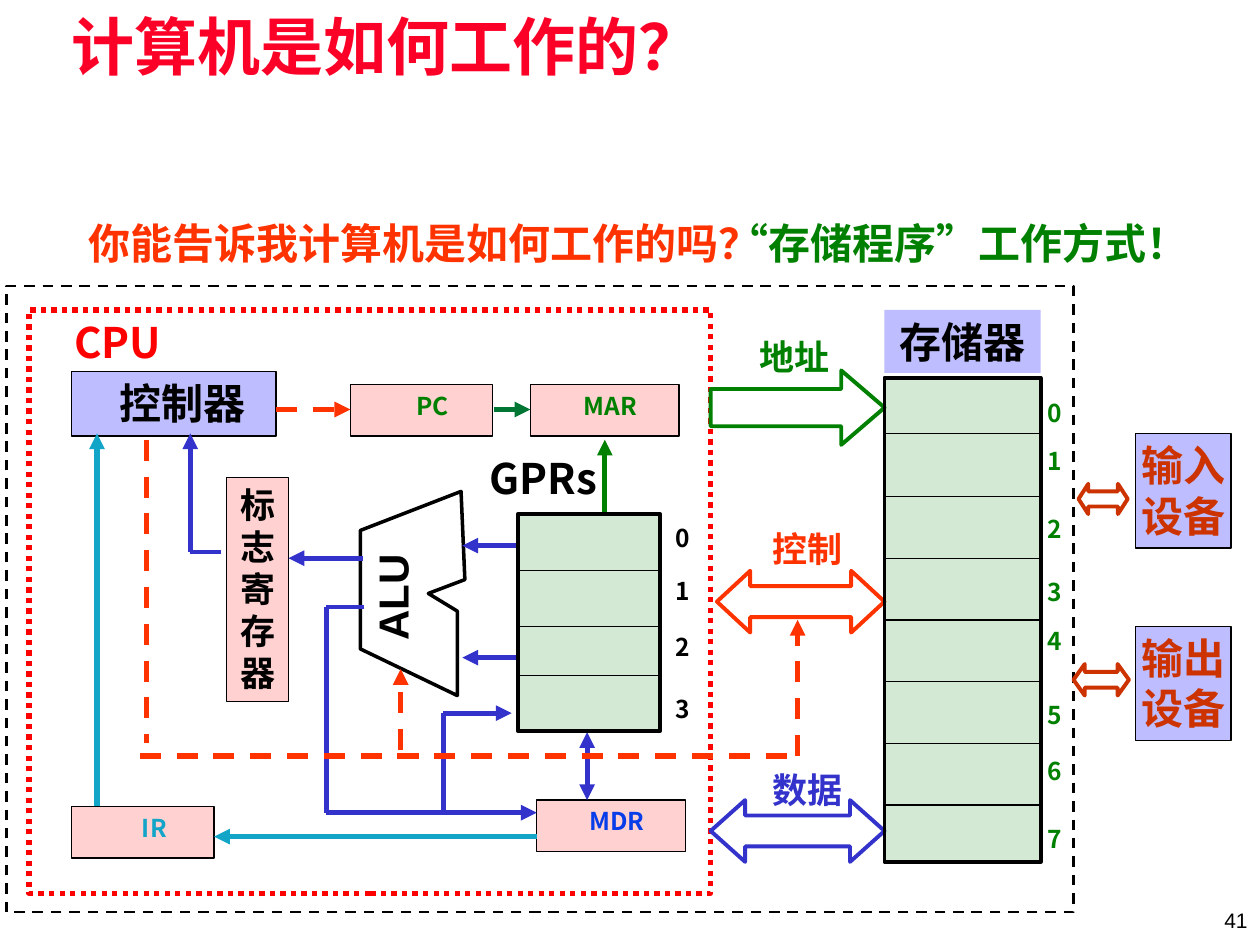
from pptx import Presentation
from pptx.dml.color import RGBColor
from pptx.enum.dml import MSO_LINE
from pptx.enum.shapes import MSO_CONNECTOR, MSO_SHAPE
from pptx.enum.text import MSO_ANCHOR, PP_ALIGN
from pptx.oxml.ns import qn
from pptx.util import Inches, Pt
from lxml.etree import SubElement

CJK = "Noto Sans CJK SC"
BLUE, RED, GREEN, BLACK = "3333CC", "FF3300", "008000", "000000"
CYAN, BROWN = "12A5C8", "CC3300"
PALE_BLUE, PALE_RED, PALE_GREEN = ("0000FF", 26), ("FF0000", 18), (GREEN, 17)
paint = RGBColor.from_string

deck = Presentation()
deck.slide_width, deck.slide_height = Inches(10), Inches(7.5)
page = deck.slides.add_slide(deck.slide_layouts[6])


def add_box(place, text="", size=24, color=BLACK, fill=None, opacity=100, line=None,
            width=0.75, dash=None, kind=MSO_SHAPE.RECTANGLE, head=None,
            font=CJK, bold=True, align=PP_ALIGN.CENTER, spacing=None, inset=(0.1, 0.1)):
    frame = [Inches(length) for length in place]
    if fill or line:
        box = page.shapes.add_shape(kind, *frame)
        box.shadow.inherit = False
        if head:
            box.adjustments[0], box.adjustments[1] = 0.5, head
        if fill:
            box.fill.solid()
            box.fill.fore_color.rgb = paint(fill)
            if opacity < 100:
                tint = box.fill._xPr.find(qn("a:solidFill"))[0]
                SubElement(tint, qn("a:alpha"), val=str(opacity * 1000))
        else:
            box.fill.background()
        if line:
            box.line.color.rgb = paint(line)
            box.line.width = Pt(width)
            box.line.dash_style = dash
        else:
            box.line.fill.background()
    else:
        box = page.shapes.add_textbox(*frame)
    if text:
        body = box.text_frame
        body.text = text
        body.word_wrap = True
        body.vertical_anchor = MSO_ANCHOR.TOP
        body.margin_left, body.margin_right = [Inches(side) for side in inset]
        for para in body.paragraphs:
            para.alignment = align
            para.line_spacing = spacing or Pt(size * 1.2)
            for span in para.runs:
                span.font.size = Pt(size)
                span.font.bold = bold
                span.font.color.rgb = paint(color)
                span.font.name = font
                SubElement(span.font._element, qn("a:ea"), typeface=CJK)
    return box


def add_line(x1, y1, x2, y2, color=BLUE, width=3, ends="", dash=None):
    line = page.shapes.add_connector(
        MSO_CONNECTOR.STRAIGHT, Inches(x1), Inches(y1), Inches(x2), Inches(y2))
    line.line.color.rgb = paint(color)
    line.line.width = Pt(width)
    line.line.dash_style = dash
    outline = line.line._get_or_add_ln()
    for end in ends.split():
        SubElement(outline, qn(f"a:{end}End"), type="triangle")
    SubElement(line._element.spPr, qn("a:effectLst"))


title = add_box((0.5, 0.11, 9, 0.61), "计算机是如何工作的？", 36, "FC0128", font="Arial",
                align=PP_ALIGN.LEFT, spacing=0.87, inset=(0.07, 0.07))
title.text_frame.margin_top = title.text_frame.margin_bottom = Inches(0.03)
add_box((0.27, 1.68, 6.2, 0.5), "你能告诉我计算机是如何工作的吗？", color=RED)
add_box((5.59, 1.68, 4.02, 0.5), "“存储程序”工作方式！", color=GREEN)

add_box((0.05, 2.27, 8.47, 4.97), line=BLACK, width=1.5, dash=MSO_LINE.DASH)
add_box((0.23, 2.46, 5.41, 4.63), line="FF0000", width=3, dash=MSO_LINE.ROUND_DOT)
add_box((0.47, 2.46, 0.93, 0.5), "CPU", color="FF0000")

add_box((0.57, 2.95, 1.62, 0.51), "控制器", fill=PALE_BLUE[0], opacity=PALE_BLUE[1],
        line=BLACK, inset=(0.24, 0.1))
registers = [
    ("PC", 2.78, 3.05, 1.13, GREEN, 0.28),
    ("MAR", 4.21, 3.05, 1.18, GREEN, 0.19),
    ("MDR", 4.26, 6.35, 1.18, "063DE8", 0.19),
    ("IR", 0.57, 6.4, 1.13, CYAN, 0.28),
]
for name, left, top, width, color, margin in registers:
    add_box((left, top, width, 0.41), name, 14, color, *PALE_RED, line=BLACK,
            inset=(margin, 0.1))
add_box((1.8, 3.79, 0.49, 1.78), "标\n志\n寄\n存\n器", 20, BLACK, *PALE_RED, line=BLACK)

for name, top in [("输入\n设备", 3.44), ("输出\n设备", 4.97)]:
    add_box((9.01, top, 0.76, 0.91), name, 24, BROWN, *PALE_BLUE, line=BLACK, inset=(0, 0))

two_way, one_way = MSO_SHAPE.LEFT_RIGHT_ARROW, MSO_SHAPE.RIGHT_ARROW
block_arrows = [
    ((8.56, 3.84, 0.39, 0.24), two_way, 0.322, BROWN),
    ((8.52, 5.27, 0.44, 0.25), two_way, 0.359, BROWN),
    ((5.64, 2.94, 1.38, 0.59), one_way, 0.582, GREEN),
    ((5.69, 4.53, 1.33, 0.49), two_way, 0.539, RED),
    ((5.64, 6.35, 1.38, 0.49), two_way, 0.559, BLUE),
]
for place, kind, head, color in block_arrows:
    add_box(place, fill="FFFFFF", line=color, width=2.25, kind=kind, head=head)
add_box((5.84, 2.61, 0.94, 0.43), "地址", 20, GREEN)
add_box((5.94, 4.14, 0.94, 0.43), "控制", 20, RED)
add_box((5.99, 6.05, 0.84, 0.43), "数据", 20, BLUE)

corners = [(2.86, 4.21), (3.66, 3.9), (3.69, 4.6), (3.4, 4.71),
           (3.63, 4.85), (3.63, 5.52), (2.86, 5.15)]
points = [(Inches(x), Inches(y)) for x, y in corners]
builder = page.shapes.build_freeform(*points[0])
builder.add_line_segments(points[1:], close=True)
alu = builder.convert_to_shape()
alu.shadow.inherit = False
alu.fill.background()
alu.line.color.rgb = paint(BLACK)
alu.line.width = Pt(2)
label = add_box((2.69, 4.51, 0.89, 0.46), "ALU", font="Arial", spacing=0.9, inset=(0.05, 0.05))
label.rotation = 270

data_lines = [
    (4.11, 4.33, 3.67, 4.33, BLUE, 3, "tail"),
    (4.11, 5.22, 3.67, 5.22, BLUE, 3, "tail"),
    (2.88, 4.43, 2.29, 4.43, BLUE, 3, "tail"),
    (1.75, 4.38, 1.51, 4.38, BLUE, 2.25),
    (1.51, 4.38, 1.51, 3.44, BLUE, 3, "tail"),
    (2.89, 4.82, 2.59, 4.82, BLUE, 2.25),
    (2.59, 4.82, 2.59, 6.45),
    (2.59, 6.45, 4.26, 6.45, BLUE, 3, "tail"),
    (3.52, 6.44, 3.52, 5.66),
    (3.52, 5.66, 4.06, 5.66, BLUE, 3, "tail"),
    (4.66, 5.81, 4.66, 6.35, BLUE, 3, "head tail"),
    (3.92, 3.25, 4.21, 3.25, "007635", 3, "tail"),
    (4.8, 4.08, 4.8, 3.49, GREEN, 3, "tail"),
    (4.26, 6.64, 1.7, 6.64, CYAN, 3, "tail"),
    (0.77, 6.4, 0.77, 3.44, CYAN, 3, "tail"),
]
for data_line in data_lines:
    add_line(*data_line)

control_lines = [
    (2.19, 3.25, 2.78, 3.25, "tail"),
    (1.11, 6, 6.28, 6, ""),
    (1.16, 3.49, 1.16, 5.9, ""),
    (3.18, 5.95, 3.18, 5.31, "tail"),
    (6.33, 6, 6.33, 4.92, "tail"),
]
for *ends, arrows in control_lines:
    add_line(*ends, RED, 3, arrows, MSO_LINE.DASH)

add_box((3.67, 3.54, 1.28, 0.5), "GPRs")
add_box((7.02, 2.46, 1.24, 0.5), "存储器", 24, BLACK, *PALE_BLUE)
memory_rows = [3.44] + [3.94 + 0.49 * row for row in range(6)]
stores = [
    ((4.11, 4.08, 1.13, 1.72), [4.53, 4.97, 5.36], 5.24, 0.35, BLACK, [4.1, 4.52, 4.97, 5.46]),
    ((7.02, 3, 1.24, 3.84), memory_rows, 8.21, 0.33, GREEN,
     [3.11, 3.49, 4.03, 4.53, 4.92, 5.51, 5.95, 6.49]),
]
for place, rows, number_left, number_width, color, number_tops in stores:
    add_box(place, fill=PALE_GREEN[0], opacity=PALE_GREEN[1], line=BLACK, width=2.25)
    for row in rows:
        add_line(place[0], row, place[0] + place[2], row, BLACK, 0.75)
    for number, top in enumerate(number_tops):
        add_box((number_left, top, number_width, 0.4), str(number), 14, color)

page_number = add_box((7.75, 7.1, 2.25, 0.4), "41", 12, font="Arial", bold=False,
                      align=PP_ALIGN.RIGHT, spacing=1.0)
page_number.text_frame.vertical_anchor = MSO_ANCHOR.MIDDLE

deck.save("out.pptx")
